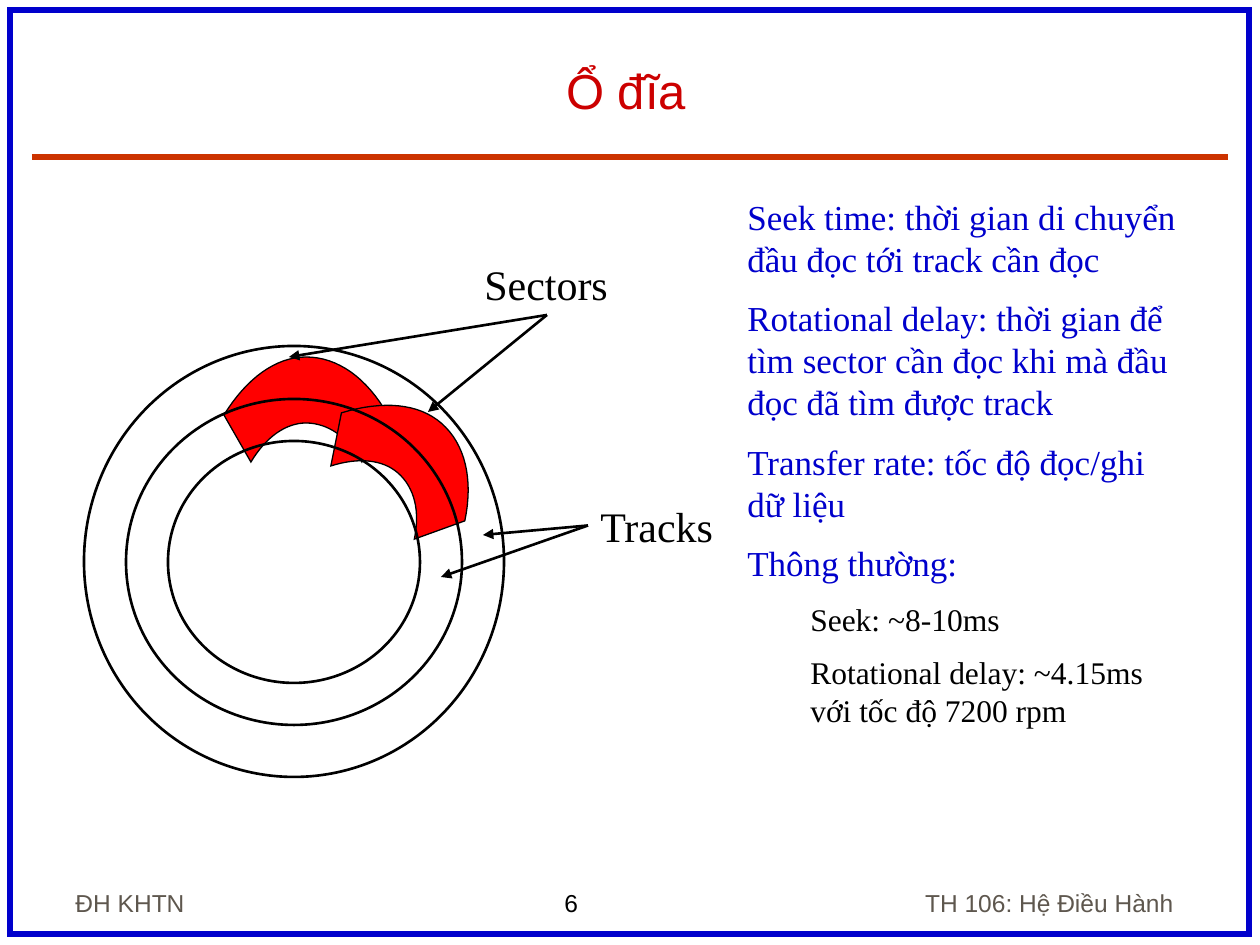
from math import cos, radians, sin

from lxml.etree import SubElement
from pptx import Presentation
from pptx.dml.color import RGBColor
from pptx.enum.shapes import MSO_CONNECTOR, MSO_SHAPE
from pptx.enum.text import MSO_ANCHOR, MSO_AUTO_SIZE, PP_ALIGN
from pptx.oxml.ns import qn
from pptx.util import Pt

PX = 914400 // 126
COLORS = {
    "blue": "0000CC", "rule": "CC3300", "title": "CC0000",
    "footer": "5E574E", "black": "000000", "sector": "FF0000",
}
SANS, SERIF = "Arial", "Times New Roman"

# Sector outline inside a 200 x 105 box: start, then lines (1 point) and curves (3 points)
SECTOR_SIZE = (200, 105)
SECTOR_START = (62, 105)
SECTOR_STEPS = [
    [(77, 80), (97, 66), (117, 66)], [(139, 66), (159, 80), (173, 105)],
    [(199, 58)],
    [(178, 21), (149, 0), (117, 0)], [(87, 0), (58, 21), (35, 58)],
]


def rgb(name):
    return RGBColor.from_string(COLORS[name])


def emu(*lengths):
    return [round(length * PX) for length in lengths]


def style(shape, line, width, fill=None):
    shape.shadow.inherit = False
    if fill:
        shape.fill.solid()
        shape.fill.fore_color.rgb = rgb(fill)
    else:
        shape.fill.background()
    shape.line.color.rgb = rgb(line)
    shape.line.width = Pt(width)
    SubElement(shape.line._get_or_add_ln(), qn("a:miter"), lim="800000")


def add_outline(page, kind, box, color="black", width=1.5):
    style(page.shapes.add_shape(kind, *emu(*box)), color, width)


def add_paragraph(frame, text, size=14, font=SANS, color="black",
                  align=PP_ALIGN.LEFT, before=0, indent=0):
    first = frame.paragraphs[0]
    para = frame.add_paragraph() if first.runs else first
    para.alignment = align
    para.space_before = Pt(before)
    if indent:
        para.level = 1
        para._p.get_or_add_pPr().set("marL", str(indent * PX))
    span = para.add_run()
    span.text = text
    span.font.size = Pt(size)
    span.font.name = font
    span.font.color.rgb = rgb(color)


def add_text(page, box, text=None, anchor=MSO_ANCHOR.TOP, wrap=True, **form):
    shape = page.shapes.add_textbox(*emu(*box))
    frame = shape.text_frame
    frame.word_wrap = wrap
    if not wrap:
        frame.auto_size = MSO_AUTO_SIZE.SHAPE_TO_FIT_TEXT
    frame.vertical_anchor = anchor
    if text:
        add_paragraph(frame, text, **form)
    return shape


def add_line(page, start, end, color="black", width=1.5, arrow=False):
    line = page.shapes.add_connector(MSO_CONNECTOR.STRAIGHT, *emu(*start, *end))
    line.line.color.rgb = rgb(color)
    line.line.width = Pt(width)
    if arrow:
        SubElement(line.line._get_or_add_ln(), qn("a:tailEnd"), type="triangle")
    SubElement(line._element.spPr, qn("a:effectLst"))
    return line


def sector_points(steps=16):
    """Outline points, with each cubic curve cut into short straight steps."""
    points = [SECTOR_START]
    for step in SECTOR_STEPS:
        if len(step) == 1:
            points += step
            continue
        controls = [points[-1], *step]
        for i in range(1, steps + 1):
            t = i / steps
            weights = ((1 - t) ** 3, 3 * t * (1 - t) ** 2, 3 * t * t * (1 - t), t ** 3)
            points.append(tuple(sum(w * c[axis] for w, c in zip(weights, controls))
                                for axis in (0, 1)))
    return points


def add_sector(page, left, top, angle=0):
    """Draw a ring sector turned about the middle of its box."""
    mid_x, mid_y = SECTOR_SIZE[0] / 2, SECTOR_SIZE[1] / 2
    cosine, sine = cos(radians(angle)), sin(radians(angle))
    turned = []
    for x, y in sector_points():
        dx, dy = x - mid_x, y - mid_y
        turned.append(emu(left + mid_x + dx * cosine - dy * sine,
                          top + mid_y + dx * sine + dy * cosine))
    builder = page.shapes.build_freeform(*turned[0])
    builder.add_line_segments(turned[1:], close=True)
    style(builder.convert_to_shape(), "black", 0.75, "sector")


def add_label(page, box, text, site, start, targets):
    """Place a label and the arrows that leave one of its sides."""
    label = add_text(page, box, text, wrap=False, size=24, font=SERIF)
    for target in targets:
        add_line(page, start, target, arrow=True).begin_connect(label, site)


def add_disk(page, left, top):
    add_outline(page, MSO_SHAPE.OVAL, (left, top, 420, 431))
    add_sector(page, left + 105, top + 11)
    add_sector(page, left + 210, top + 53, 41.2)
    for inset_x, inset_y, width, height in [(42, 53, 336, 326), (84, 95, 252, 242)]:
        add_outline(page, MSO_SHAPE.OVAL, (left + inset_x, top + inset_y, width, height))
    add_label(page, (left + 388, top - 94, 150, 63), "Sectors", 2,
              (left + 463, top - 31), [(left + 205, top + 11), (left + 344, top + 66)])
    add_label(page, (left + 504, top + 148, 139, 63), "Tracks", 1,
              (left + 504, top + 179), [(left + 399, top + 189), (left + 357, top + 231)])


def add_frame(page):
    add_text(page, (552, 882, 137, 43), "6", wrap=False)
    add_outline(page, MSO_SHAPE.RECTANGLE, (10, 10, 1239, 924), "blue", 3)
    add_line(page, (32, 157), (1228, 157), "rule", 3)
    footer = dict(anchor=MSO_ANCHOR.BOTTOM, color="footer", before=8.8)
    add_text(page, (63, 861, 262, 63), "ĐH KHTN", **footer)
    add_text(page, (840, 861, 346, 63), "TH 106: Hệ Điều Hành",
             align=PP_ALIGN.RIGHT, **footer)


def add_notes_column(page, box):
    frame = add_text(page, box).text_frame
    for text in [
        "Seek time: thời gian di chuyển đầu đọc tới track cần đọc",
        "Rotational delay: thời gian để tìm sector cần đọc khi mà đầu đọc đã tìm được track",
        "Transfer rate: tốc độ đọc/ghi dữ liệu",
        "Thông thường:",
    ]:
        add_paragraph(frame, text, size=20, font=SERIF, color="blue", before=10)
    for text in ["Seek: ~8-10ms", "Rotational delay: ~4.15ms với tốc độ 7200 rpm"]:
        add_paragraph(frame, text, size=18, font=SERIF, before=9, indent=63)


def main():
    deck = Presentation()
    deck.slide_width, deck.slide_height = emu(1260, 945)
    page = deck.slides.add_slide(deck.slide_layouts[6])
    add_frame(page)
    add_text(page, (55, 32, 1142, 94), "Ổ đĩa", anchor=MSO_ANCHOR.BOTTOM,
             size=28, color="title", align=PP_ALIGN.CENTER)
    add_notes_column(page, (735, 189, 455, 646))
    add_disk(page, 84, 346)
    deck.save("out.pptx")


if __name__ == "__main__":
    main()
